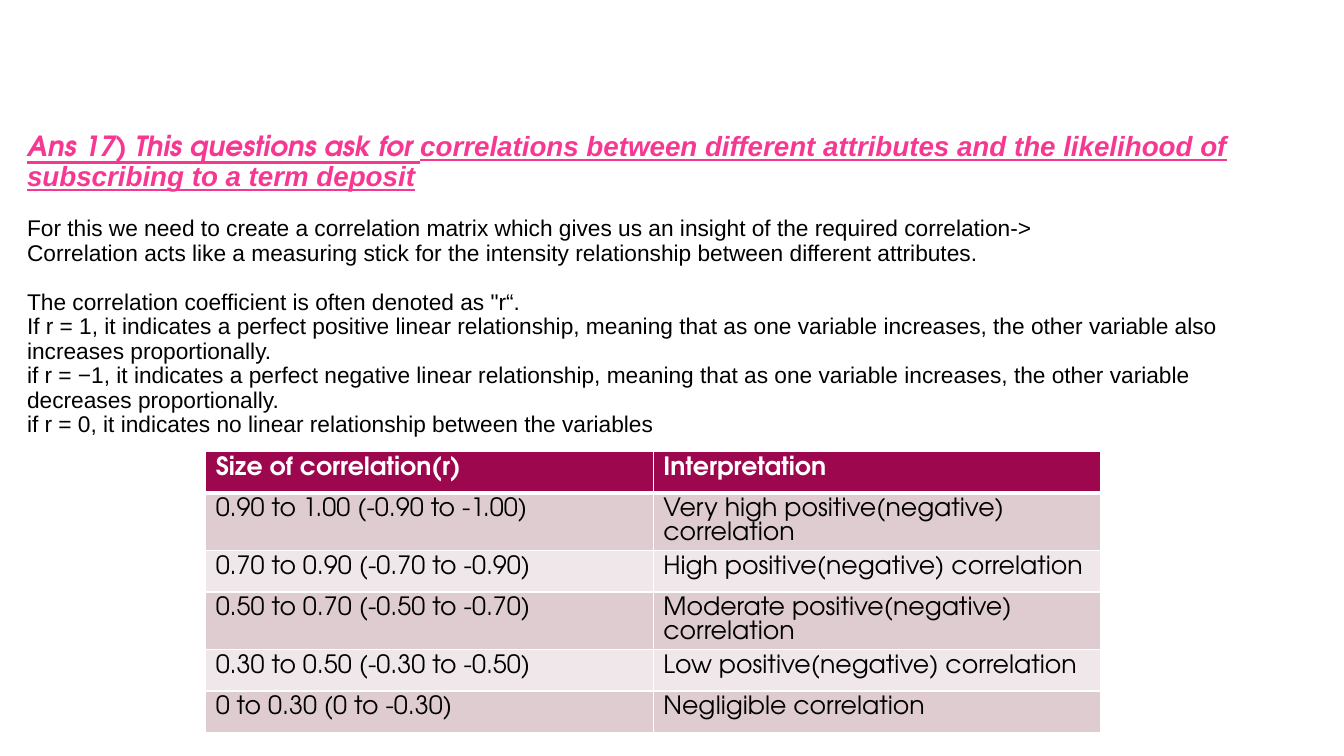
from pptx import Presentation
from pptx.dml.color import RGBColor
from pptx.enum.text import MSO_ANCHOR
from pptx.oxml import parse_xml
from pptx.oxml.ns import nsdecls
from pptx.util import Inches, Pt

TOP = MSO_ANCHOR.TOP
PINK = RGBColor(0xF6, 0x38, 0x92)
BLACK = RGBColor(0, 0, 0)
WHITE = RGBColor(0xFF, 0xFF, 0xFF)
WINE = RGBColor(0x9D, 0x07, 0x4E)
ROSE = RGBColor(0xDF, 0xCC, 0xD0)
PALE = RGBColor(0xEF, 0xE7, 0xE9)
SANS, ROUND = "Arial", "TeX Gyre Adventor"

HEAD = [
    ("Ans 17) This questions ask for ", ROUND),
    ("correlations between different attributes and the likelihood of subscribing to a term deposit", SANS),
]
BODY = [
    [
        "For this we need to create a correlation matrix which gives us an insight of the required correlation->",
        "Correlation acts like a measuring stick for the intensity relationship between different attributes.",
    ],
    [
        "The correlation coefficient is often denoted as \"r“.",
        "If r = 1, it indicates a perfect positive linear relationship, meaning that as one variable increases, the other variable also increases proportionally.",
        "if r = −1, it indicates a perfect negative linear relationship, meaning that as one variable increases, the other variable decreases proportionally.",
        "if r = 0, it indicates no linear relationship between the variables",
    ],
]
SCALE = [
    ("Size of correlation(r)", "Interpretation"),
    ("0.90 to 1.00 (-0.90 to -1.00)", "Very high positive(negative) correlation"),
    ("0.70 to 0.90 (-0.70 to -0.90)", "High positive(negative) correlation"),
    ("0.50 to 0.70 (-0.50 to -0.70)", "Moderate positive(negative) correlation"),
    ("0.30 to 0.50 (-0.30 to -0.50)", "Low positive(negative) correlation"),
    ("0 to 0.30 (0 to -0.30)", "Negligible correlation"),
]
COL, ROW, TALL = 4.44, 0.41, 0.57
WRAP = 36
LEAD = 0.9


def add_run(para, text, face, size, color, bold=False):
    run = para.add_run()
    run.text = text
    font = run.font
    font.name, font.size, font.bold = face, Pt(size), bold
    font.color.rgb = color
    return font


def add_edge(cell, side, width):
    props = cell._tc.get_or_add_tcPr()
    props.append(parse_xml(
        f'<a:{side} {nsdecls("a")} w="{Pt(width)}"><a:solidFill>'
        f'<a:srgbClr val="{WHITE}"/></a:solidFill></a:{side}>'))


def add_text(slide):
    box = slide.shapes.add_textbox(Inches(0.17), Inches(1.27), Inches(12.62), Inches(3.15))
    frame = box.text_frame
    frame.word_wrap = True
    frame.vertical_anchor = TOP
    para = frame.paragraphs[0]
    para.line_spacing = LEAD
    for text, face in HEAD:
        font = add_run(para, text, face, 19.8, PINK, True)
        font.italic = font.underline = True
    for group in BODY:
        for num, text in enumerate(group):
            para = frame.add_paragraph()
            para.line_spacing = LEAD
            para.space_before = Pt(0 if num else 17.5)
            add_run(para, text, SANS, 16.2, BLACK)


def add_scale(slide):
    highs = [TALL if len(texts[1]) > WRAP else ROW for texts in SCALE]
    rows, cols = len(SCALE), len(SCALE[0])
    grid = slide.shapes.add_table(
        rows, cols, Inches(2.04), Inches(4.48), Inches(COL * cols), Inches(sum(highs))).table
    for col in grid.columns:
        col.width = Inches(COL)
    for r, texts in enumerate(SCALE):
        grid.rows[r].height = Inches(highs[r])
        for c, text in enumerate(texts):
            cell = grid.cell(r, c)
            for side in ("lnL", "lnR", "lnT", "lnB"):
                thick = (r, side) in ((0, "lnB"), (1, "lnT"))
                add_edge(cell, side, 3 if thick else 1)
            cell.fill.solid()
            cell.fill.fore_color.rgb = WINE if r == 0 else ROSE if r % 2 else PALE
            para = cell.text_frame.paragraphs[0]
            para.line_spacing = Pt(17)
            add_run(para, text, ROUND, 18, BLACK if r else WHITE, r == 0)


def main():
    deck = Presentation()
    deck.slide_width, deck.slide_height = Inches(13.33), Inches(7.5)
    slide = deck.slides.add_slide(deck.slide_layouts[6])
    add_text(slide)
    add_scale(slide)
    deck.save("out.pptx")


if __name__ == "__main__":
    main()
